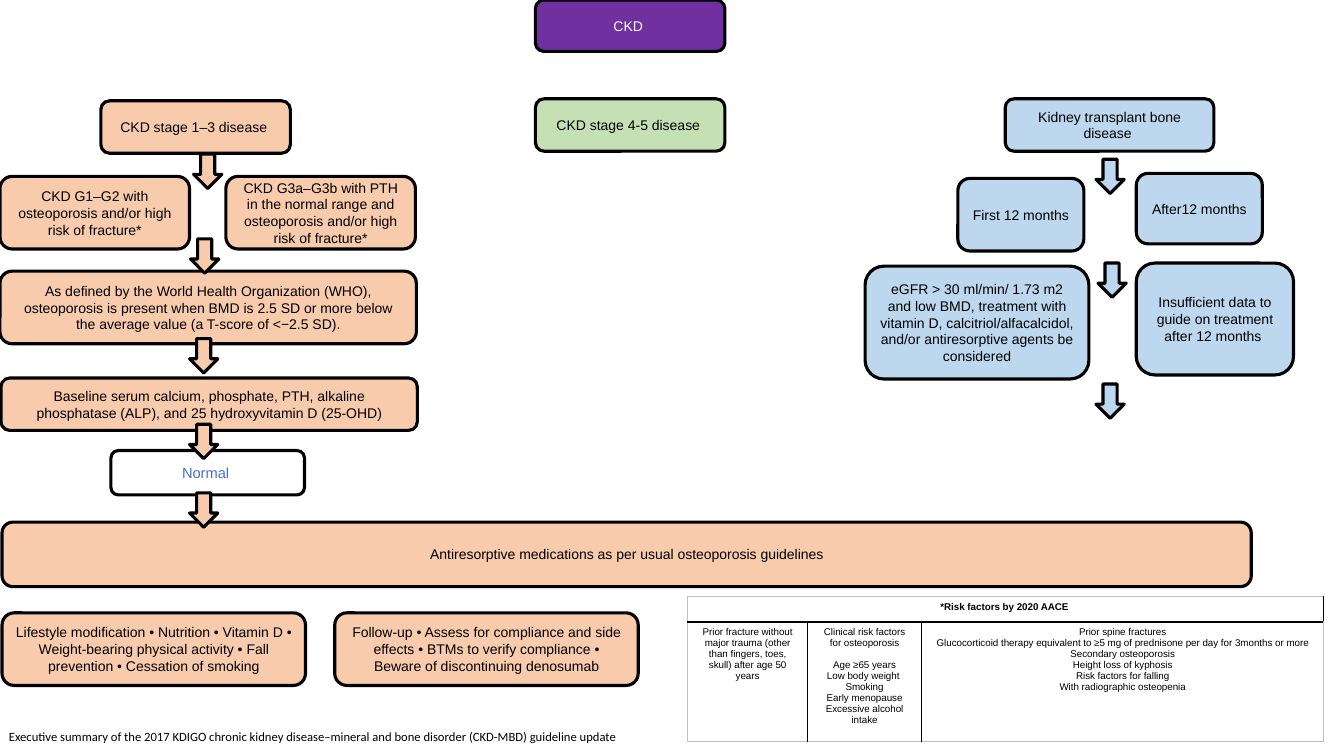
"""Build the CKD osteoporosis treatment flowchart slide."""
from typing import NamedTuple

from lxml.etree import SubElement
from pptx import Presentation
from pptx.dml.color import RGBColor
from pptx.enum.shapes import MSO_SHAPE
from pptx.enum.text import MSO_ANCHOR, PP_ALIGN
from pptx.oxml.ns import qn
from pptx.util import Emu, Pt

PX = 9144
BLACK, WHITE, GREY = "000000", "FFFFFF", "BFBFBF"
PEACH, BLUE, GREEN, PURPLE = "F8CBAD", "BDD7EE", "C5E0B4", "7030A0"


class Box(NamedTuple):
    left: int
    top: int
    width: int
    height: int
    text: str
    fill: str = PEACH
    ink: str = BLACK
    size: float = 10


class Arrow(NamedTuple):
    left: int
    top: int
    fill: str = PEACH


BOXES = [
    Box(531, 0, 188, 51, "CKD ", PURPLE, WHITE),
    Box(100, 100, 188, 52, "CKD stage 1–3 disease "),
    Box(531, 98, 188, 52, "CKD stage 4-5 disease ", GREEN),
    Box(997, 98, 207, 52, "Kidney transplant bone disease ", BLUE),
    Box(0, 175, 188, 72, "CKD G1–G2 with osteoporosis and/or high risk of fracture*"),
    Box(224, 175, 188, 72, "CKD G3a–G3b with PTH in the normal range and "
        "osteoporosis and/or high risk of fracture*"),
    Box(0, 269, 413, 72, "As defined by the World Health Organization (WHO), "
        "osteoporosis is present when BMD is 2.5 SD or more below the average "
        "value (a T-score of <−2.5 SD)."),
    Box(110, 447, 192, 44, "Normal ", WHITE, "4472C4", 10.5),
    Box(1, 375, 413, 52, "Baseline serum calcium, phosphate, PTH, alkaline "
        "phosphatase (ALP), and 25 hydroxyvitamin D (25-OHD)"),
    Box(2, 518, 1239, 64, "Antiresorptive medications as per usual osteoporosis guidelines"),
    Box(858, 264, 222, 112, "eGFR > 30 ml/min/ 1.73 m2 and low BMD, treatment with "
        "vitamin D, calcitriol/alfacalcidol, and/or antiresorptive agents be "
        "considered", BLUE),
    Box(1127, 261, 156, 111, "Insufficient data to guide on treatment after 12 months ", BLUE),
    Box(950, 177, 125, 72, "First 12 months", BLUE),
    Box(1127, 172, 125, 70, "After12 months", BLUE),
    Box(2, 608, 301, 72, "Lifestyle modification • Nutrition • Vitamin D • "
        "Weight-bearing physical activity • Fall prevention • Cessation of smoking"),
    Box(332, 608, 301, 72, "Follow-up • Assess for compliance and side effects • "
        "BTMs to verify compliance • Beware of discontinuing denosumab"),
]
ARROWS = [
    Arrow(192, 153), Arrow(189, 237), Arrow(188, 336), Arrow(188, 421), Arrow(188, 489),
    Arrow(1087, 158, BLUE), Arrow(1089, 261, BLUE), Arrow(1087, 381, BLUE),
]
HEAD = "*Risk factors by 2020 AACE "
RISKS = [
    ["Prior fracture without major trauma (other than fingers, toes, skull) after age 50 years"],
    ["Clinical risk factors for osteoporosis", "Age ≥65 years", "Low body weight ",
     "Smoking", "Early menopause", "Excessive alcohol intake"],
    ["Prior spine fractures",
     "Glucocorticoid therapy equivalent to ≥5 mg of prednisone per day for 3months or more",
     "Secondary osteoporosis", "Height loss of kyphosis", "Risk factors for falling",
     "With radiographic osteopenia"],
]
COLS, ROWS = (119, 113, 399), (25, 119)
NOTE = ("Executive summary of the 2017 KDIGO chronic kidney disease–mineral "
        "and bone disorder (CKD-MBD) guideline update")


def px(count: int) -> Emu:
    return Emu(count * PX)


def color(code: str) -> RGBColor:
    return RGBColor.from_string(code)


def write(para, text: str, size: float, ink: str = BLACK, bold: bool = False,
          face: str = "Arial", align=PP_ALIGN.CENTER) -> None:
    para.alignment = align
    run = para.add_run()
    run.text = text
    font = run.font
    font.name, font.size, font.bold = face, Pt(size), bold
    font.color.rgb = color(ink)


def add_shape(slide, kind, place: tuple, fill: str):
    shape = slide.shapes.add_shape(kind, *map(px, place))
    shape.shadow.inherit = False
    shape.fill.solid()
    shape.fill.fore_color.rgb = color(fill)
    shape.line.color.rgb = color(BLACK)
    shape.line.width = Pt(2.25)
    return shape


def add_box(slide, box: Box) -> None:
    shape = add_shape(slide, MSO_SHAPE.ROUNDED_RECTANGLE, box[:4], box.fill)
    frame = shape.text_frame
    frame.word_wrap = True
    frame.vertical_anchor = MSO_ANCHOR.MIDDLE
    write(frame.paragraphs[0], box.text, box.size, box.ink)


def add_arrow(slide, arrow: Arrow) -> None:
    add_shape(slide, MSO_SHAPE.DOWN_ARROW, (arrow.left, arrow.top, 28, 34), arrow.fill)


def frame_cell(cell, row: int, col: int) -> None:
    props = cell._tc.get_or_add_tcPr()
    outer = {"lnL": col == 0, "lnR": col == len(COLS) - 1,
             "lnT": row == 0, "lnB": row == len(ROWS) - 1}
    for side, edge in outer.items():
        line = SubElement(props, qn(f"a:{side}"), w=str(Pt(1)))
        fill = SubElement(line, qn("a:solidFill"))
        SubElement(fill, qn("a:srgbClr"), val=GREY if edge else BLACK)
    cell.fill.solid()
    cell.fill.fore_color.rgb = color(WHITE)


def add_risks(slide) -> None:
    place = (682, 592, sum(COLS), sum(ROWS))
    table = slide.shapes.add_table(len(ROWS), len(COLS), *map(px, place)).table
    table.first_row = table.horz_banding = False
    for col, width in enumerate(COLS):
        table.columns[col].width = px(width)
    for row, height in enumerate(ROWS):
        table.rows[row].height = px(height)
        for col in range(len(COLS)):
            frame_cell(table.cell(row, col), row, col)
    table.cell(0, 0).merge(table.cell(0, len(COLS) - 1))
    write(table.cell(0, 0).text_frame.paragraphs[0], HEAD, 7, bold=True)
    for col, items in enumerate(RISKS):
        frame = table.cell(1, col).text_frame
        for rank, item in enumerate(items):
            para = frame.add_paragraph() if rank else frame.paragraphs[0]
            write(para, item, 7)
    table.cell(1, 1).text_frame.paragraphs[1].space_before = Pt(8)


def add_note(slide) -> None:
    frame = slide.shapes.add_textbox(*map(px, (-1, 718, 667, 25))).text_frame
    frame.word_wrap = True
    write(frame.paragraphs[0], NOTE, 9, face="Calibri", align=PP_ALIGN.LEFT)


def main() -> None:
    deck = Presentation()
    deck.slide_width, deck.slide_height = px(1333), px(750)
    slide = deck.slides.add_slide(deck.slide_layouts[6])
    for box in BOXES:
        add_box(slide, box)
    for arrow in ARROWS:
        add_arrow(slide, arrow)
    add_risks(slide)
    add_note(slide)
    deck.save("out.pptx")


if __name__ == "__main__":
    main()
